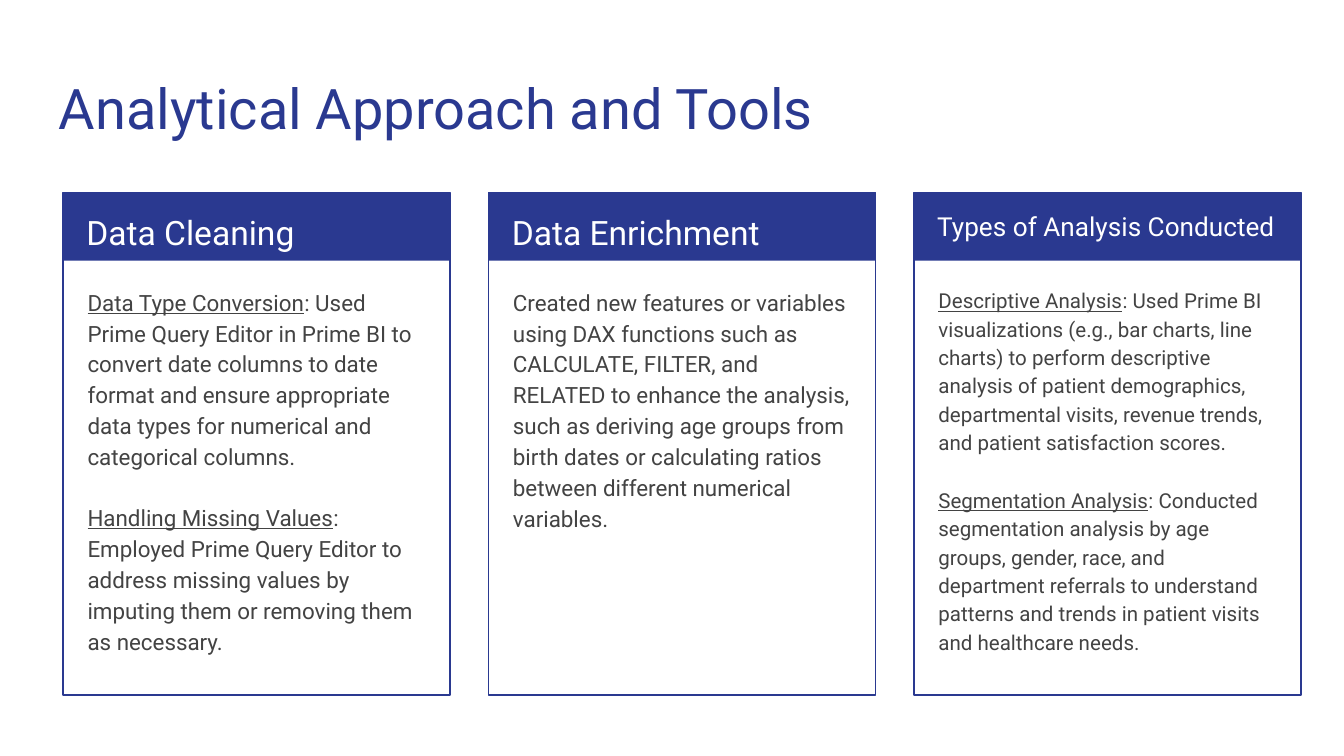
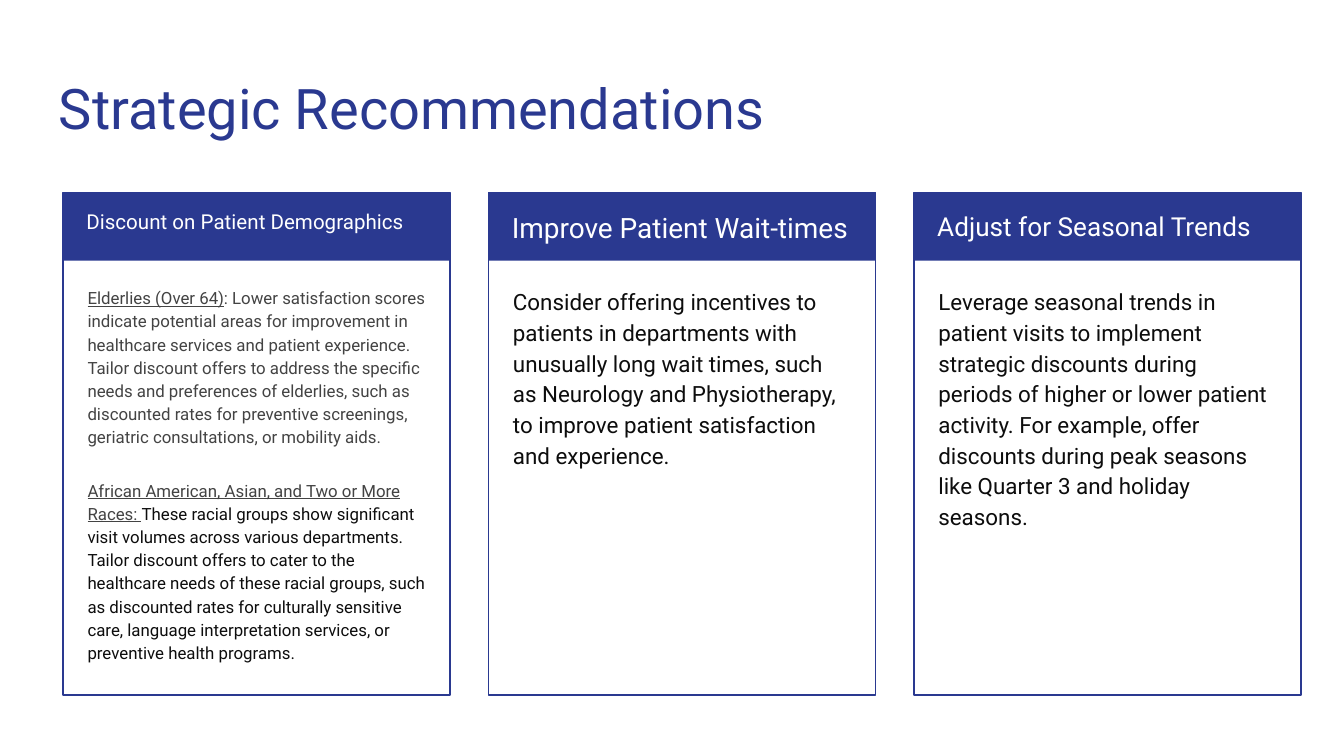
from dataclasses import dataclass

from pptx import Presentation
from pptx.dml.color import RGBColor
from pptx.enum.shapes import MSO_SHAPE
from pptx.enum.text import MSO_ANCHOR
from pptx.slide import Slide
from pptx.text.text import TextFrame
from pptx.util import Pt

COLORS = {"navy": "2A3990", "white": "FFFFFF", "gray": "434343", "ink": "0D0D0D"}
FONT = "Roboto"

# Card grid, in points
CARD_LEFT, CARD_TOP, CARD_PITCH = 33.8, 103, 227.9
CARD_WIDTH, CARD_HEIGHT, BAND_HEIGHT = 207.4, 269.3, 36.7
HEADING_INDENT, BODY_INDENT = 5.4, 6
BODY_TOP, BODY_WIDTH, BODY_HEIGHT = 145.4, 195, 220.3
TEXT_INSET = 7.2


@dataclass(frozen=True)
class Passage:
    text: str
    lead: str = ""  # underlined opening words
    color: str = "gray"
    lead_color: str = "gray"


@dataclass(frozen=True)
class Card:
    heading: str
    heading_size: float
    body_size: float
    passages: tuple[Passage, ...]
    line_spacing: float = 1.15


@dataclass(frozen=True)
class Page:
    title: str
    cards: tuple[Card, ...]


PAGES = (
    Page("Analytical Approach and Tools", (
        Card("Data Cleaning", 18, 12, (
            Passage(": Used Prime Query Editor in Prime BI to convert date columns to date "
                    "format and ensure appropriate data types for numerical and "
                    "categorical columns.", "Data Type Conversion"),
            Passage(": Employed Prime Query Editor to address missing values by imputing "
                    "them or removing them as necessary.", "Handling Missing Values"),
        )),
        Card("Data Enrichment", 18, 12, (
            Passage("Created new features or variables using DAX functions such as "
                    "CALCULATE, FILTER, and RELATED to enhance the analysis, such as "
                    "deriving age groups from birth dates or calculating ratios between "
                    "different numerical variables."),
        )),
        Card("Types of Analysis Conducted", 14, 11, (
            Passage(": Used Prime BI visualizations (e.g., bar charts, line charts) to "
                    "perform descriptive analysis of patient demographics, departmental "
                    "visits, revenue trends, and patient satisfaction scores.",
                    "Descriptive Analysis"),
            Passage(": Conducted segmentation analysis by age groups, gender, race, and "
                    "department referrals to understand patterns and trends in patient "
                    "visits and healthcare needs.", "Segmentation Analysis"),
        )),
    )),
    Page("Strategic Recommendations", (
        Card("Discount on Patient Demographics", 11, 9, (
            Passage(": Lower satisfaction scores indicate potential areas for improvement "
                    "in healthcare services and patient experience. Tailor discount offers "
                    "to address the specific needs and preferences of elderlies, such as "
                    "discounted rates for preventive screenings, geriatric consultations, "
                    "or mobility aids.", "Elderlies (Over 64)"),
            Passage("These racial groups show significant visit volumes across various "
                    "departments. Tailor discount offers to cater to the healthcare needs "
                    "of these racial groups, such as discounted rates for culturally "
                    "sensitive care, language interpretation services, or preventive "
                    "health programs.",
                    "African American, Asian, and Two or More Races: ", "ink"),
        )),
        Card("Improve Patient Wait-times", 15, 12, (
            Passage("Consider offering incentives to patients in departments with "
                    "unusually long wait times, such as Neurology and Physiotherapy, to "
                    "improve patient satisfaction and experience.", color="ink"),
        ), 1.14),
        Card("Adjust for Seasonal Trends", 14, 12, (
            Passage("Leverage seasonal trends in patient visits to implement strategic "
                    "discounts during periods of higher or lower patient activity. For "
                    "example, offer discounts during peak seasons like Quarter 3 and "
                    "holiday seasons.", color="ink"),
        ), 1.14),
    )),
)


def rgb(name: str) -> RGBColor:
    return RGBColor.from_string(COLORS[name])


def add_text_frame(slide: Slide, left: float, top: float,
                   width: float, height: float) -> TextFrame:
    frame = slide.shapes.add_textbox(Pt(left), Pt(top), Pt(width), Pt(height)).text_frame
    frame.word_wrap = True
    frame.vertical_anchor = MSO_ANCHOR.TOP
    frame.margin_left = frame.margin_right = Pt(TEXT_INSET)
    frame.margin_top = frame.margin_bottom = Pt(TEXT_INSET)
    return frame


def write_line(frame: TextFrame, text: str, size: float, color: str,
               line_spacing: float = 1.0) -> None:
    line = frame.paragraphs[0]
    line.text = text
    line.line_spacing = line_spacing
    line.font.name, line.font.size = FONT, Pt(size)
    line.font.color.rgb = rgb(color)


def add_panel(slide: Slide, left: float, height: float, filled: bool) -> None:
    panel = slide.shapes.add_shape(MSO_SHAPE.RECTANGLE, Pt(left), Pt(CARD_TOP),
                                   Pt(CARD_WIDTH), Pt(height))
    panel.shadow.inherit = False
    if filled:
        panel.fill.solid()
        panel.fill.fore_color.rgb = rgb("navy")
        panel.line.fill.background()
    else:
        panel.fill.background()
        panel.line.color.rgb = rgb("navy")
        panel.line.width = Pt(0.75)


def write_passages(frame: TextFrame, card: Card) -> None:
    for index, passage in enumerate(card.passages):
        paragraph = frame.add_paragraph() if index else frame.paragraphs[0]
        paragraph.line_spacing = card.line_spacing
        paragraph.space_before = Pt(16 if index else 0)
        paragraph.font.name, paragraph.font.size = FONT, Pt(card.body_size)
        if passage.lead:
            lead = paragraph.add_run()
            lead.text = passage.lead
            lead.font.underline = True
            lead.font.color.rgb = rgb(passage.lead_color)
        detail = paragraph.add_run()
        detail.text = passage.text
        detail.font.color.rgb = rgb(passage.color)


def add_card(slide: Slide, card: Card, left: float) -> None:
    # Heading band and outline
    add_panel(slide, left, BAND_HEIGHT, filled=True)
    add_panel(slide, left, CARD_HEIGHT, filled=False)
    # Heading and body text
    heading = add_text_frame(slide, left + HEADING_INDENT, CARD_TOP, 196.6, 36)
    write_line(heading, card.heading, card.heading_size, "white", 1.15)
    body = add_text_frame(slide, left + BODY_INDENT, BODY_TOP, BODY_WIDTH, BODY_HEIGHT)
    write_passages(body, card)


def main() -> None:
    deck = Presentation()
    deck.slide_width, deck.slide_height = Pt(720), Pt(405)
    for page in PAGES:
        slide = deck.slides.add_slide(deck.slide_layouts[6])
        slide.background.fill.solid()
        slide.background.fill.fore_color.rgb = rgb("white")
        title = add_text_frame(slide, 24.5, 32.4, 671, 47.5)
        write_line(title, page.title, 30, "navy")
        for column, card in enumerate(page.cards):
            add_card(slide, card, CARD_LEFT + column * CARD_PITCH)
    deck.save("out.pptx")


if __name__ == "__main__":
    main()
